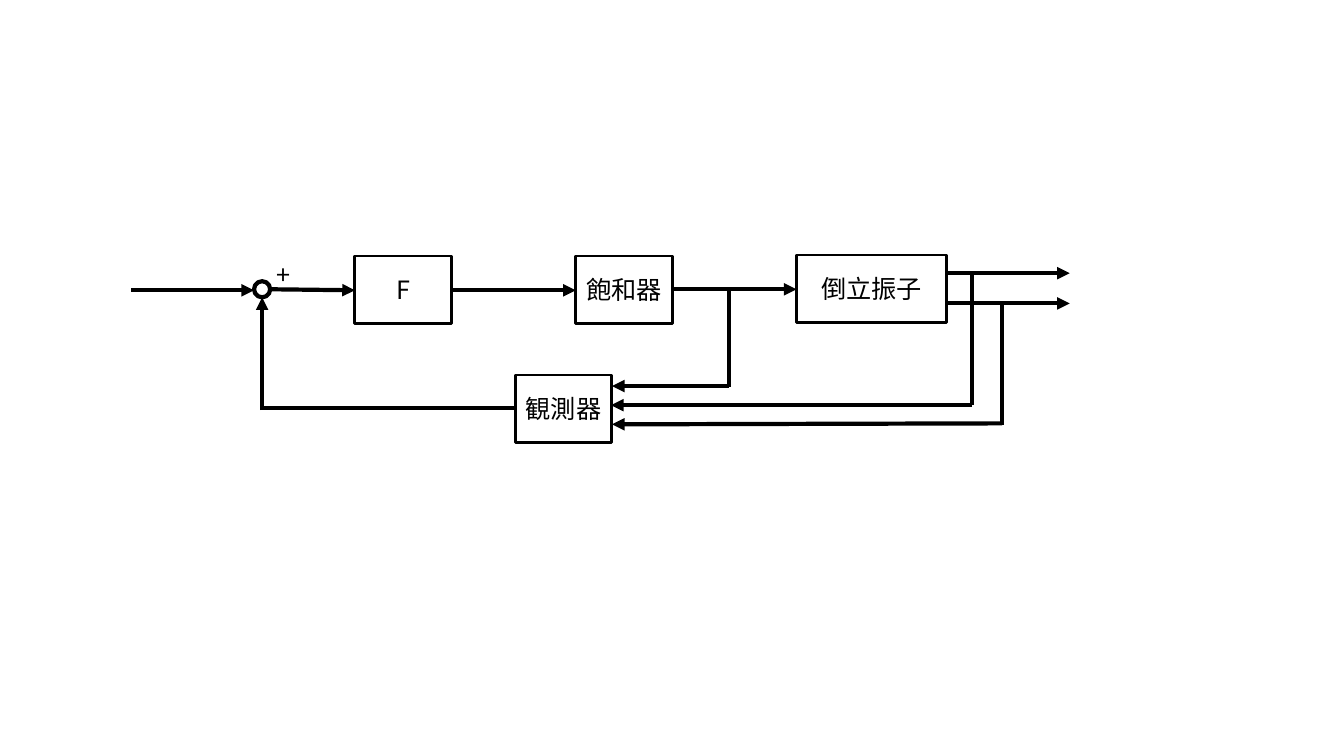
from lxml import etree
from pptx import Presentation
from pptx.dml.color import RGBColor
from pptx.enum.shapes import MSO_CONNECTOR, MSO_SHAPE
from pptx.enum.text import MSO_ANCHOR, PP_ALIGN
from pptx.oxml.ns import qn
from pptx.util import Inches, Pt

BLACK = RGBColor(0x00, 0x00, 0x00)
WHITE = RGBColor(0xFF, 0xFF, 0xFF)
FONT = "Noto Sans CJK JP"
STRAIGHT = MSO_CONNECTOR.STRAIGHT
RECTANGLE = MSO_SHAPE.RECTANGLE
OVAL = MSO_SHAPE.OVAL
MIDDLE = MSO_ANCHOR.MIDDLE
CENTER = PP_ALIGN.CENTER


def add_outlined(kind, left, top, width, height, weight):
    shape = slide.shapes.add_shape(
        kind, Inches(left), Inches(top), Inches(width), Inches(height)
    )
    shape.shadow.inherit = False
    shape.fill.solid()
    shape.fill.fore_color.rgb = WHITE
    shape.line.color.rgb = BLACK
    shape.line.width = Pt(weight)
    return shape


def write_label(frame, text):
    span = frame.paragraphs[0].add_run()
    span.text = text
    span.font.name = FONT
    span.font.size = Pt(18)
    span.font.color.rgb = BLACK
    east_asian = etree.SubElement(span.font._element, qn("a:ea"))
    east_asian.set("typeface", FONT)


deck = Presentation()
deck.slide_width = Inches(13.33)
deck.slide_height = Inches(7.5)
slide = deck.slides.add_slide(deck.slide_layouts[6])

blocks = [
    ("F", 3.52, 2.54, 0.96),
    ("飽和器", 5.71, 2.54, 0.96),
    ("倒立振子", 7.9, 2.53, 1.49),
    ("観測器", 5.11, 3.72, 0.96),
]
for name, left, top, width in blocks:
    block = add_outlined(RECTANGLE, left, top, width, 0.67, 2)
    frame = block.text_frame
    frame.word_wrap = False
    frame.vertical_anchor = MIDDLE
    frame.paragraphs[0].alignment = CENTER
    write_label(frame, name)

add_outlined(OVAL, 2.52, 2.79, 0.16, 0.16, 3)

plus_box = slide.shapes.add_textbox(
    Inches(2.74), Inches(2.57), Inches(0.18), Inches(0.61)
)
plus_frame = plus_box.text_frame
plus_frame.word_wrap = False
for side in ("left", "right", "top", "bottom"):
    setattr(plus_frame, f"margin_{side}", 0)
write_label(plus_frame, "+")

arrows = [
    (1.3, 2.88, 2.52, 2.88),
    (2.68, 2.87, 3.52, 2.88),
    (4.48, 2.88, 5.71, 2.88),
    (6.67, 2.87, 7.9, 2.87),
    (9.39, 2.71, 10.61, 2.71),
    (9.39, 3.01, 10.61, 3.01),
    (2.6, 4.07, 2.6, 2.95),
    (7.23, 3.83, 6.07, 3.83),
    (9.64, 4.02, 6.06, 4.02),
    (9.94, 4.2, 6.07, 4.21),
]
branches = [
    (2.6, 4.05, 5.11, 4.05),
    (7.23, 2.85, 7.23, 3.84),
    (9.64, 2.71, 9.64, 4.02),
    (9.94, 3.02, 9.94, 4.22),
]
for routes, has_arrowhead in ((arrows, True), (branches, False)):
    for route in routes:
        wire = slide.shapes.add_connector(STRAIGHT, *map(Inches, route))
        wire.line.color.rgb = BLACK
        wire.line.width = Pt(3)
        if has_arrowhead:
            arrowhead = etree.SubElement(wire.line._get_or_add_ln(), qn("a:tailEnd"))
            arrowhead.set("type", "triangle")
        etree.SubElement(wire._element.spPr, qn("a:effectLst"))

deck.save("out.pptx")
